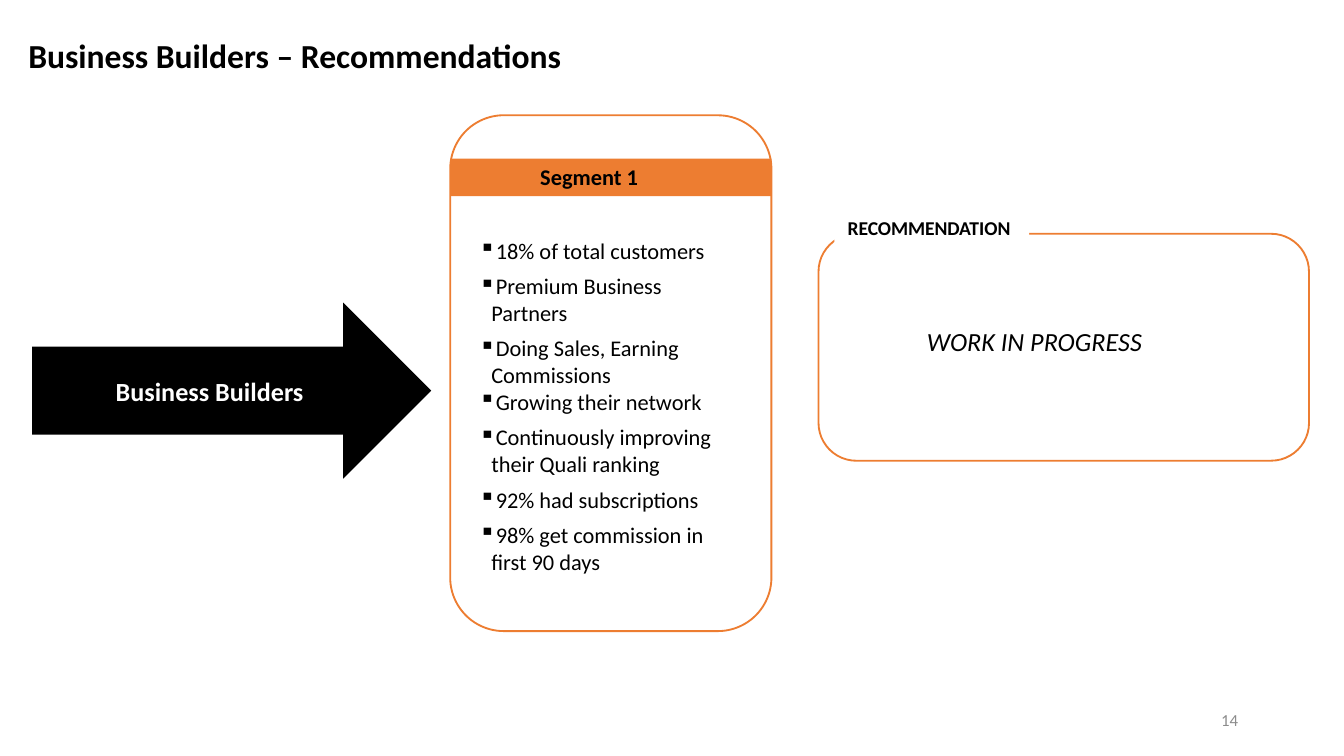
from lxml import etree
from pptx import Presentation
from pptx.dml.color import RGBColor
from pptx.enum.shapes import MSO_SHAPE as Shape
from pptx.enum.text import MSO_ANCHOR as Anchor, PP_ALIGN as Align
from pptx.oxml.ns import qn
from pptx.util import Cm, Pt

FONT = "Calibri"
BLACK, WHITE, ORANGE, GREY = "000000", "FFFFFF", "ED7D31", "8C8C8C"
POINTS = [
    "18% of total customers",
    "Premium Business Partners",
    "Doing Sales, Earning Commissions",
    "Growing their network",
    "Continuously improving their Quali ranking",
    "92% had subscriptions",
    "98% get commission in first 90 days",
]
TIGHT = "Growing their network"


def color(code):
    return RGBColor.from_string(code)


def style(para, size, ink=BLACK, **marks):
    for key, val in dict(name=FONT, size=Pt(size), **marks).items():
        setattr(para.font, key, val)
    para.font.color.rgb = color(ink)


def write(item, text, size, ink=BLACK, align=Align.LEFT, anchor=Anchor.TOP,
          wrap=True, **marks):
    frame = item.text_frame
    frame.word_wrap = wrap
    frame.vertical_anchor = anchor
    para = frame.paragraphs[0]
    para.text = text
    para.alignment = align
    style(para, size, ink, **marks)
    return para


def label(slide, box, text, size, **opts):
    item = slide.shapes.add_textbox(*map(Cm, box))
    write(item, text, size, **opts)


def block(slide, kind, box, fill=None, line=None):
    item = slide.shapes.add_shape(kind, *map(Cm, box))
    item.shadow.inherit = False
    if fill:
        item.fill.solid()
        item.fill.fore_color.rgb = color(fill)
    else:
        item.fill.background()
    if line:
        item.line.color.rgb = color(line)
        item.line.width = Pt(1)
    else:
        item.line.fill.background()
    return item


def bullet(para, indent):
    props = para._p.get_or_add_pPr()
    props.set("marL", str(indent))
    props.set("indent", str(-indent))
    etree.SubElement(props, qn("a:buChar")).set("char", "▪")


def heading(slide, box, text):
    title = slide.shapes.title
    for key, val in zip(("left", "top", "width", "height"), box):
        setattr(title, key, Cm(val))
    para = write(title, text, 18, anchor=Anchor.MIDDLE, bold=True)
    para.line_spacing = 0.9


def segment(slide, box, name, points):
    left, top, width, height = box
    # Outline with the bullet list, set low to clear the band
    card = block(slide, Shape.ROUNDED_RECTANGLE, box, line=ORANGE)
    frame = card.text_frame
    frame.word_wrap = True
    frame.vertical_anchor = Anchor.MIDDLE
    frame.margin_top = Cm(1.36)
    for num, text in enumerate(points):
        para = frame.add_paragraph() if num else frame.paragraphs[0]
        para.text = text
        para.alignment = Align.LEFT
        if num:
            para.space_before = Pt(0 if text == TIGHT else 4.5)
        bullet(para, Cm(0.23))
        style(para, 12)
    # Name band
    block(slide, Shape.RECTANGLE, (left, top + 0.82, width, 0.71), fill=ORANGE)
    label(slide, (left + 1.45, top + 0.77, 2.72, 0.77), name, 12, bold=True)


def advice(slide, box, name, text):
    left, top, width, height = box
    block(slide, Shape.ROUNDED_RECTANGLE, box, line=ORANGE)
    # Tab that breaks the outline
    tab = block(slide, Shape.RECTANGLE, (left + 0.3, top - 0.46, 3.68, 1.14),
                fill=WHITE)
    write(tab, name, 10.5, wrap=False, bold=True)
    label(slide, (left + 1.8, top + 1.6, 4.8, 0.86), text, 14, italic=True)


def pointer(slide, box, text):
    arrow = block(slide, Shape.RIGHT_ARROW, box, fill=BLACK)
    write(arrow, text, 14, WHITE, Align.CENTER, Anchor.MIDDLE, bold=True)


def main():
    deck = Presentation()
    deck.slide_width, deck.slide_height = Cm(25.4), Cm(14.29)
    slide = deck.slides.add_slide(deck.slide_layouts[5])
    heading(slide, (0.28, 0.28, 24.87, 1.63),
            "Business Builders – Recommendations")
    segment(slide, (8.51, 2.18, 6.07, 9.75), "Segment 1", POINTS)
    advice(slide, (15.47, 4.42, 9.27, 4.29), "RECOMMENDATION",
           "WORK IN PROGRESS")
    pointer(slide, (0.61, 5.72, 7.54, 3.33), "Business Builders")
    # Page number
    label(slide, (17.93, 13.23, 5.72, 0.76), "14", 9, ink=GREY,
          align=Align.RIGHT, anchor=Anchor.MIDDLE)
    deck.save("out.pptx")


if __name__ == "__main__":
    main()
